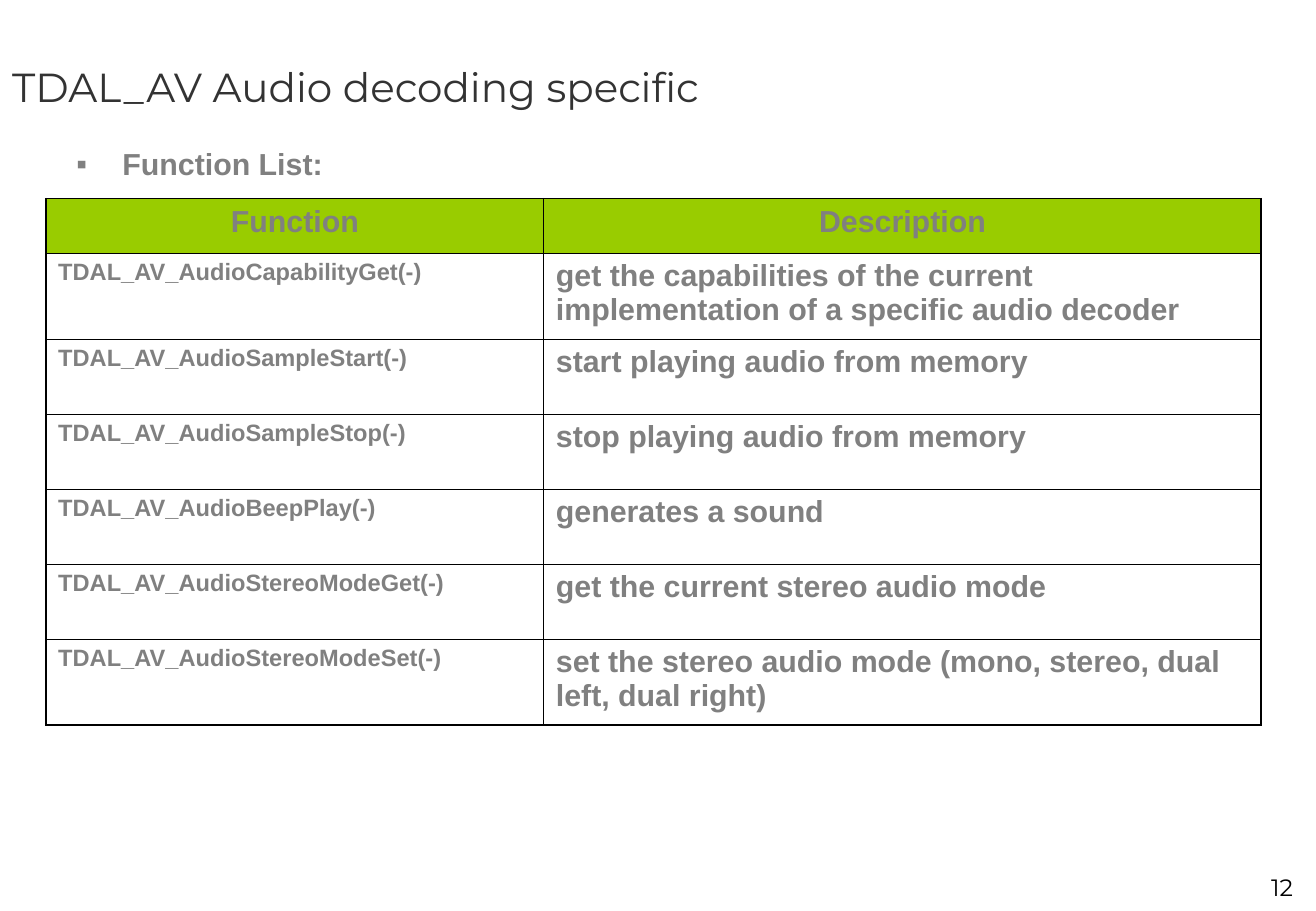
"""Build the slide that lists the audio decoding functions of TDAL_AV."""

from dataclasses import dataclass

from lxml.etree import SubElement
from pptx import Presentation
from pptx.dml.color import RGBColor
from pptx.enum.text import MSO_ANCHOR, PP_ALIGN
from pptx.oxml.ns import qn
from pptx.slide import Slide
from pptx.table import _Cell as Cell
from pptx.text.text import TextFrame
from pptx.util import Emu, Inches, Pt

SLIDE_WIDTH, SLIDE_HEIGHT = Inches(10.84), Inches(7.5)
GRAY, DARK, BLACK, GREEN = "808080", "333333", "000000", "99CC00"
THICK, THIN = 1.08, 0.45
NAME_WIDTH, DESCRIPTION_WIDTH = 37.82, 54.52
HEADER_HEIGHT, SINGLE_HEIGHT, DOUBLE_HEIGHT = 6, 8.25, 9.4


@dataclass(frozen=True)
class Area:
    """A rectangle in percent of the slide's width and height."""

    left: float
    top: float
    width: float
    height: float

    def lengths(self) -> tuple[Emu, Emu, Emu, Emu]:
        """Return left, top, width and height as slide lengths."""
        return across(self.left), down(self.top), across(self.width), down(self.height)


@dataclass(frozen=True)
class Function:
    """One row of the function table."""

    name: str
    description: str
    height: float = SINGLE_HEIGHT
    name_gap: float = 3.5


TITLE_AREA = Area(0, 0, 99.9, 18.93)
LIST_AREA = Area(4.89, 15.33, 91.42, 5.5)
TABLE_AREA = Area(3.5, 21.8, NAME_WIDTH + DESCRIPTION_WIDTH, 57.8)
NUMBER_AREA = Area(88.47, 95.2, 10.7, 4.4)

FUNCTIONS = [
    Function(
        "TDAL_AV_AudioCapabilityGet(-)",
        "get the capabilities of the current implementation of a specific audio decoder",
        DOUBLE_HEIGHT,
    ),
    Function("TDAL_AV_AudioSampleStart(-)", "start playing audio from memory"),
    Function("TDAL_AV_AudioSampleStop(-)", "stop playing audio from memory"),
    Function("TDAL_AV_AudioBeepPlay(-)", "generates a sound"),
    Function("TDAL_AV_AudioStereoModeGet(-)", "get the current stereo audio mode"),
    Function(
        "TDAL_AV_AudioStereoModeSet(-)",
        "set the stereo audio mode (mono, stereo, dual left, dual right)",
        DOUBLE_HEIGHT,
        8.1,
    ),
]


def across(percent: float) -> Emu:
    """Return a share of the slide's width."""
    return Emu(round(SLIDE_WIDTH * percent / 100))


def down(percent: float) -> Emu:
    """Return a share of the slide's height."""
    return Emu(round(SLIDE_HEIGHT * percent / 100))


def color(value: str) -> RGBColor:
    """Turn a hex string into a colour."""
    return RGBColor.from_string(value)


def write(
    frame: TextFrame,
    text: str,
    *,
    size: float = 18,
    font: str = "Arial",
    ink: str = GRAY,
    bold: bool = True,
    align: PP_ALIGN = PP_ALIGN.LEFT,
    gap: float = 4.5,
    bullet: str = "",
) -> None:
    """Fill a text frame with one formatted paragraph."""
    frame.word_wrap = True
    para = frame.paragraphs[0]
    para.alignment = align
    para.space_before = Pt(gap)
    span = para.add_run()
    span.text = text
    span.font.size = Pt(size)
    span.font.name = font
    span.font.bold = bold
    span.font.color.rgb = color(ink)
    if bullet:
        properties = para._p.get_or_add_pPr()
        properties.set("marL", str(Inches(0.38)))
        properties.set("indent", str(-Inches(0.38)))
        tint = SubElement(properties, qn("a:buClr"))
        SubElement(tint, qn("a:srgbClr"), val=ink)
        SubElement(properties, qn("a:buFont"), typeface=font)
        SubElement(properties, qn("a:buChar"), char=bullet)


def draw_borders(cell: Cell, left: float, right: float, top: float, bottom: float) -> None:
    """Give a cell black borders of the given widths in points."""
    properties = cell._tc.get_or_add_tcPr()
    for side, width in zip("LRTB", (left, right, top, bottom)):
        line = SubElement(properties, qn(f"a:ln{side}"), w=str(Pt(width)))
        paint = SubElement(line, qn("a:solidFill"))
        SubElement(paint, qn("a:srgbClr"), val=BLACK)


def add_text(page: Slide, area: Area, text: str, **style) -> None:
    """Add a text box with one paragraph."""
    box = page.shapes.add_textbox(*area.lengths())
    write(box.text_frame, text, **style)


def add_title(page: Slide, text: str) -> None:
    """Place and fill the title placeholder."""
    title = page.shapes.title
    title.left, title.top, title.width, title.height = TITLE_AREA.lengths()
    title.text_frame.vertical_anchor = MSO_ANCHOR.MIDDLE
    write(title.text_frame, text, size=24, font="Montserrat", ink=DARK, bold=False, gap=0)


def add_function_table(page: Slide, functions: list[Function]) -> None:
    """Add the table with a header and one row per function."""
    last = len(functions)
    table = page.shapes.add_table(last + 1, 2, *TABLE_AREA.lengths()).table
    table.first_row = table.horz_banding = False
    for column, width in zip(table.columns, (NAME_WIDTH, DESCRIPTION_WIDTH)):
        column.width = across(width)
    heights = [HEADER_HEIGHT] + [function.height for function in functions]
    for index, height in enumerate(heights):
        row = table.rows[index]
        row.height = down(height)
        top = THICK if index == 0 else THIN
        bottom = THICK if index == last else THIN
        name, description = row.cells
        draw_borders(name, THICK, THIN, top, bottom)
        draw_borders(description, THIN, THICK, top, bottom)
        if index == 0:
            for cell, heading in zip(row.cells, ("Function", "Description")):
                cell.fill.solid()
                cell.fill.fore_color.rgb = color(GREEN)
                write(cell.text_frame, heading, align=PP_ALIGN.CENTER)
        else:
            function = functions[index - 1]
            name.fill.background()
            description.fill.background()
            write(name.text_frame, function.name, size=14, gap=function.name_gap)
            write(description.text_frame, function.description)


def main() -> None:
    """Build and save the deck."""
    deck = Presentation()
    deck.slide_width, deck.slide_height = SLIDE_WIDTH, SLIDE_HEIGHT
    page = deck.slides.add_slide(deck.slide_layouts.get_by_name("Title Only"))
    add_title(page, "TDAL_AV Audio decoding specific")
    add_text(page, LIST_AREA, "Function List:", bullet="▪")
    add_function_table(page, FUNCTIONS)
    add_text(
        page, NUMBER_AREA, "12", size=14, font="Montserrat", ink=BLACK,
        bold=False, align=PP_ALIGN.RIGHT, gap=0,
    )
    deck.save("out.pptx")


if __name__ == "__main__":
    main()
